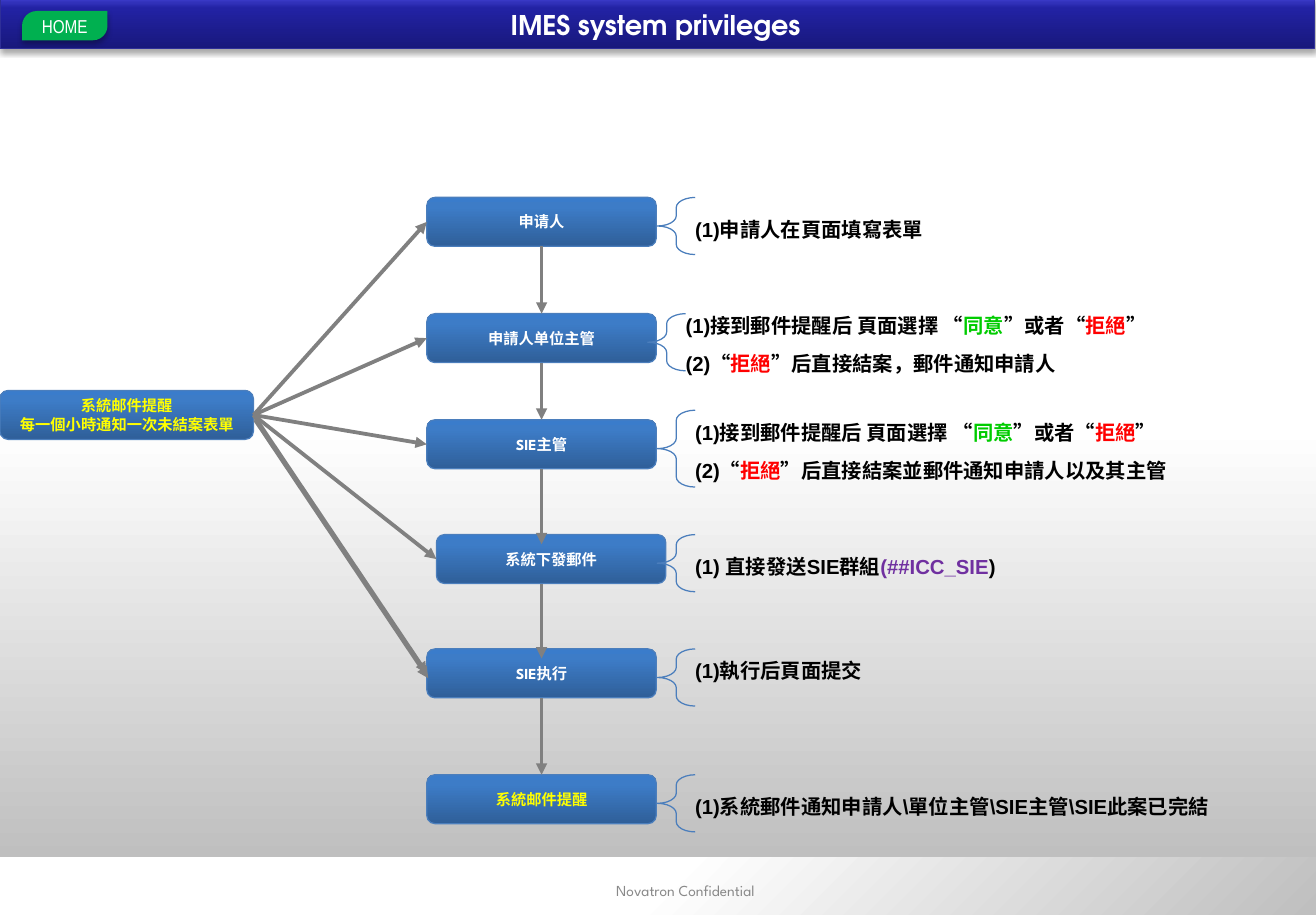
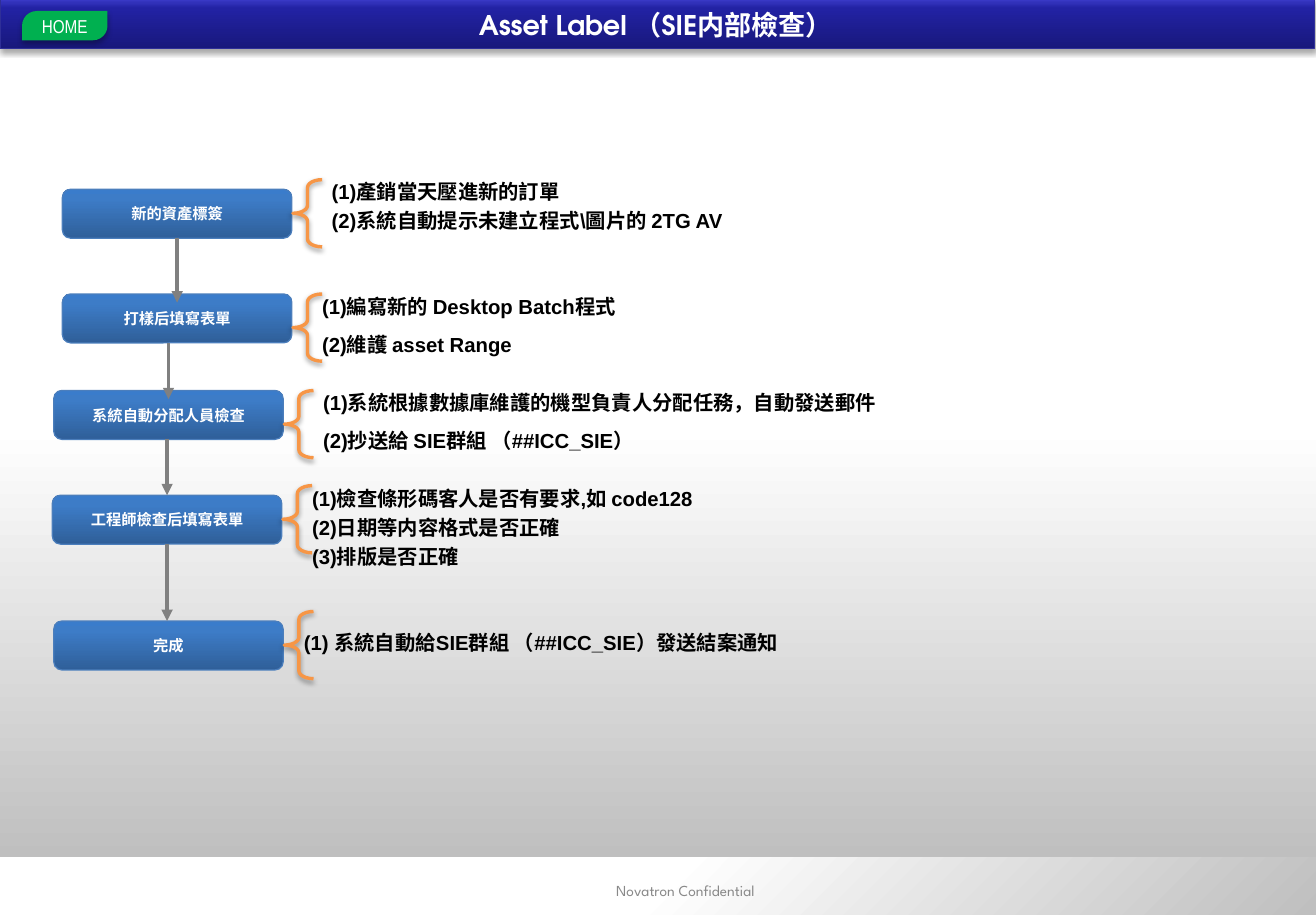
import dataclasses

import pptx
import pptx.dml.color
import pptx.enum.shapes
import pptx.enum.text
import pptx.oxml
import pptx.oxml.ns
import pptx.util

Cm = pptx.util.Cm
Pt = pptx.util.Pt
RGB = pptx.dml.color.RGBColor
KIND = pptx.enum.shapes.MSO_SHAPE
ALIGN = pptx.enum.text.PP_ALIGN
ANCHOR = pptx.enum.text.MSO_ANCHOR
FIT = pptx.enum.text.MSO_AUTO_SIZE
qn = pptx.oxml.ns.qn

WHITE = RGB(0xFF, 0xFF, 0xFF)
BLACK = RGB(0, 0, 0)
SILVER = RGB(0xBF, 0xBF, 0xBF)
GRAY = RGB(0x80, 0x80, 0x80)
ASH = RGB(0x89, 0x89, 0x89)
YELLOW = RGB(0xFF, 0xFF, 0)
GREEN = RGB(0, 0xCC, 0)
LEAF = RGB(0, 0xB0, 0x50)
RED = RGB(0xFF, 0, 0)
PURPLE = RGB(0x70, 0x30, 0xA0)
ORANGE = RGB(0xF7, 0x96, 0x46)
BLUE = RGB(0x4B, 0x7E, 0xBC)
NAVY = RGB(0x2F, 0x2F, 0x98)
FADE = [(0, SILVER), (50, WHITE)]
STEEL = [(0, RGB(0x2F, 0x5F, 0x99)), (80, RGB(0x3D, 0x7C, 0xC7)), (100, RGB(0x3A, 0x7C, 0xCB))]
DEEP = [(0, RGB(0x18, 0x18, 0x7C)), (80, RGB(0x22, 0x22, 0xA3)), (100, RGB(0x3C, 0x3C, 0xCB))]

WIDE, HIGH = 27.41, 19.05
BOX_W, BOX_H = 4.78, 1.02
LABEL = "League Spartan"
PAD = (0.23, 0.1)


@dataclasses.dataclass
class Step:
    """One box of a flow with its brace and its notes."""
    left: float
    top: float
    label: str
    lines: list
    width: float
    color: RGB = WHITE
    shift: float = 0
    rise: float = 0
    tall: float = 1.19
    gap: float = 0
    drop: float = 0
    pitch: float = 0.79
    over: float = 0


def node(tag, inner="", **attrs):
    """Return a drawing element in the main namespace."""
    space = 'xmlns:a="http://schemas.openxmlformats.org/drawingml/2006/main"'
    pairs = " ".join(f'{key}="{value}"' for key, value in attrs.items())
    return pptx.oxml.parse_xml(f"<a:{tag} {space} {pairs}>{inner}</a:{tag}>")


def write(frame, paras, size=12, color=BLACK, font="Arial", bold=True,
          align=ALIGN.LEFT, anchor=ANCHOR.MIDDLE, pad=(0, 0), fit=FIT.NONE):
    """Fill a text frame; a paragraph is a string or a list of (text, colour)."""
    frame.word_wrap = True
    frame.auto_size = fit
    frame.vertical_anchor = anchor
    frame.margin_left = frame.margin_right = Cm(pad[0])
    frame.margin_top = frame.margin_bottom = Cm(pad[1])
    for i, para in enumerate(paras):
        line = frame.add_paragraph() if i else frame.paragraphs[0]
        line.alignment = align
        for text, tint in [(para, color)] if isinstance(para, str) else para:
            run = line.add_run()
            run.text = text
            run.font.size = Pt(size)
            run.font.name = font
            run.font.bold = bold
            run.font.color.rgb = tint


def draw(slide, kind, box, fill=None, line=None, weight=0.75, adjust=()):
    """Add a preset shape with a flat fill, an outline and no shadow."""
    shape = slide.shapes.add_shape(kind, *map(Cm, box))
    shape.shadow.inherit = False
    for i, value in enumerate(adjust):
        shape.adjustments[i] = value
    if fill is None:
        shape.fill.background()
    else:
        shape.fill.solid()
        shape.fill.fore_color.rgb = fill
    if line is None:
        shape.line.fill.background()
    else:
        shape.line.color.rgb = line
        shape.line.width = Pt(weight)
    return shape


def blend(shape, stops, corner=False):
    """Give a shape a gradient that rises from its foot or its right corner."""
    marks = "".join(f'<a:gs pos="{at * 1000}"><a:srgbClr val="{color}"/></a:gs>'
                    for at, color in stops)
    course = '<a:lin ang="16200000" scaled="0"/>'
    if corner:
        course = '<a:path path="circle"><a:fillToRect l="100000" t="100000"/></a:path>'
    props = shape.element.spPr
    old = props.find(qn("a:noFill"))
    props.replace(old, node("gradFill", f"<a:gsLst>{marks}</a:gsLst>{course}", rotWithShape=1))
    return shape


def shade(shape, alpha, blur, dist):
    """Give a shape a soft shadow below it."""
    tint = f'<a:srgbClr val="000000"><a:alpha val="{alpha * 1000}"/></a:srgbClr>'
    shape.element.spPr.find(qn("a:effectLst")).append(
        node("outerShdw", tint, blurRad=int(Pt(blur)), dist=int(Pt(dist)),
             dir=5400000, rotWithShape=0))
    return shape


def arrow(slide, x1, y1, x2, y2):
    """Add a gray arrow."""
    link = slide.shapes.add_connector(
        pptx.enum.shapes.MSO_CONNECTOR.STRAIGHT, Cm(x1), Cm(y1), Cm(x2), Cm(y2))
    link.line.color.rgb = GRAY
    link.line.width = Pt(2.25)
    props = link.element.spPr
    props.find(qn("a:ln")).append(node("tailEnd", type="triangle"))
    props.append(node("effectLst"))


def frame(slide, layout):
    """Build the shared backdrop, bands and footer and place them in the layout."""
    back = blend(draw(slide, KIND.RECTANGLE, (0, -0.13, WIDE, 18.03)), FADE)
    foot = blend(draw(slide, KIND.RECTANGLE, (0, 17.85, WIDE, 1.2)), FADE, corner=True)
    note = slide.shapes.add_textbox(Cm(9.93), Cm(18.03), Cm(8.69), Cm(1.02))
    write(note.text_frame, ["Novatron Confidential"], size=9, color=ASH,
          font=LABEL, bold=False, align=ALIGN.CENTER)
    band = blend(draw(slide, KIND.RECTANGLE, (0, -0.03, 27.38, 1.04), line=NAVY), DEEP)
    shade(band, 35, 3.1, 1.8)
    home = draw(slide, KIND.ROUND_2_DIAG_RECTANGLE, (0.46, 0.23, 1.78, 0.61),
                fill=LEAF, adjust=(0.5, 0))
    shade(home, 32, 3.5, 2.2)
    write(home.text_frame, ["HOME"], size=11, color=WHITE, font="Arial Narrow",
          bold=False, align=ALIGN.CENTER, pad=PAD)
    for i, part in enumerate([back, foot, note, band, home]):
        part.element.nvSpPr.cNvPr.set("id", str(20 + i))
        layout.shapes.element.insert(2 + i, part.element)
    title = layout.shapes.title if hasattr(layout.shapes, "title") else layout.placeholders[0]
    title.left, title.top, title.width, title.height = map(Cm, (7.29, 0.05, 12.73, 0.91))


def head(slide, text):
    """Write the slide title."""
    write(slide.shapes.title.text_frame, [text], size=16, color=WHITE,
          font="TeX Gyre Adventor", align=ALIGN.CENTER, pad=PAD)


def button(slide, box, paras, color=WHITE):
    """Add a rounded box with a centred label."""
    shape = draw(slide, KIND.ROUNDED_RECTANGLE, box, line=BLUE, adjust=(0.167,))
    write(blend(shape, STEEL).text_frame, paras, size=9, color=color,
          font=LABEL, align=ALIGN.CENTER)


def notes(slide, left, top, step):
    """Add the note lines of a step at an even pitch."""
    for i, line in enumerate(step.lines):
        box = slide.shapes.add_textbox(Cm(left), Cm(top + i * step.pitch), Cm(step.width), Cm(0.51))
        write(box.text_frame, [line], anchor=ANCHOR.TOP, fit=FIT.SHAPE_TO_FIT_TEXT)


def flow(slide, steps, span, color, weight, soft=False):
    """Draw the steps from top to bottom, their braces, notes and arrows."""
    for step in steps:
        button(slide, (step.left, step.top, BOX_W, BOX_H), [step.label], step.color)
        left = step.left + BOX_W + 0.02 + step.shift
        brace = draw(slide, KIND.RIGHT_BRACE, (left, step.top - step.rise, span, step.tall),
                     line=color, weight=weight, adjust=(0.268, 0.5))
        brace.rotation = 180
        if soft:
            shade(brace, 38, 3.1, 1.6)
        notes(slide, left + span + step.gap, step.top + step.drop, step)
    for step, after in zip(steps, steps[1:]):
        mid = min(step.left, after.left) + BOX_W / 2
        arrow(slide, mid, step.top + BOX_H, mid, after.top + after.over)


def fan(slide, box, steps):
    """Draw the reminder box and its arrows to the steps."""
    left, top, width, height = box
    button(slide, box, ["系統邮件提醒", "每一個小時通知一次未結案表單"], YELLOW)
    x, y = left + width, top + height / 2
    for step in steps:
        arrow(slide, x, y, step.left, step.top + BOX_H / 2)
    last = steps[-1]
    arrow(slide, x + 0.03, y + 0.1, last.left + 0.03, last.top + BOX_H / 2 + 0.1)


CHOICE = [("(1)接到郵件提醒后 頁面選擇 “", BLACK), ("同意", GREEN),
          ("”或者“", BLACK), ("拒絕", RED), ("”", BLACK)]


def refuse(rest):
    """Return the second note line about a refusal."""
    return [("(2)“", BLACK), ("拒絕", RED), ("”" + rest, BLACK)]


RIGHTS = [
    Step(8.89, 4.11, "申请人", ["(1)申請人在頁面填寫表單"], 5.2, drop=0.41),
    Step(8.89, 6.53, "申請人单位主管", [CHOICE, refuse("后直接結案，郵件通知申請人")],
         11.4, shift=-0.2),
    Step(8.89, 8.74, "SIE主管", [CHOICE, refuse("后直接結案並郵件通知申請人以及其主管")],
         11.4, rise=0.2, tall=1.6),
    Step(9.09, 11.13, "系統下發郵件",
         [[("(1) 直接發送SIE群組", BLACK), ("(##ICC_SIE", PURPLE), (")", BLACK)]],
         10.8, shift=-0.2, drop=0.41, over=0.2),
    Step(8.89, 13.51, "SIE执行", ["(1)執行后頁面提交"], 11.6, drop=0.2, over=0.2),
    Step(8.89, 16.13, "系統邮件提醒", ["(1)系統郵件通知申請人\\單位主管\\SIE主管\\SIE此案已完結"],
         11.6, color=YELLOW, drop=0.41),
]
CHECKS = [
    Step(1.3, 3.94, "新的資產標簽",
         ["(1)產銷當天壓進新的訂單", "(2)系統自動提示未建立程式\\圖片的 2TG AV"],
         10.2, rise=0.2, tall=1.4, gap=0.2, drop=-0.2, pitch=0.6),
    Step(1.3, 6.12, "打樣后填寫表單", ["(1)編寫新的 Desktop Batch程式", "(2)維護 asset Range"],
         7.6, tall=1.4, over=0.18),
    Step(1.12, 8.13, "系統自動分配人員檢查",
         ["(1)系統根據數據庫維護的機型負責人分配任務，自動發送郵件",
          "(2)抄送給 SIE群組 （##ICC_SIE）"],
         14.4, tall=1.4, gap=0.2, over=0.18),
    Step(1.09, 10.31, "工程師檢查后填寫表單",
         ["(1)檢查條形碼客人是否有要求,如 code128", "(2)日期等内容格式是否正確",
          "(3)排版是否正確"],
         10.4, rise=0.2, tall=1.4, drop=-0.18, pitch=0.6),
    Step(1.12, 12.93, "完成", ["(1) 系統自動給SIE群組 （##ICC_SIE）發送結案通知"],
         14.4, rise=0.2, tall=1.4, gap=-0.2, drop=0.2),
]


def main():
    """Build and save the deck."""
    deck = pptx.Presentation()
    deck.slide_width, deck.slide_height = Cm(WIDE), Cm(HIGH)
    layout = deck.slide_layouts[5]
    first, second = (deck.slides.add_slide(layout) for _ in range(2))
    frame(first, layout)
    head(first, "IMES system privileges")
    flow(first, RIGHTS, 0.79, BLUE, 0.75)
    fan(first, (0, 8.13, 5.28, BOX_H), RIGHTS[:5])
    head(second, "Asset Label （SIE内部檢查）")
    flow(second, CHECKS, 0.61, ORANGE, 2, soft=True)
    deck.save("out.pptx")


main()
